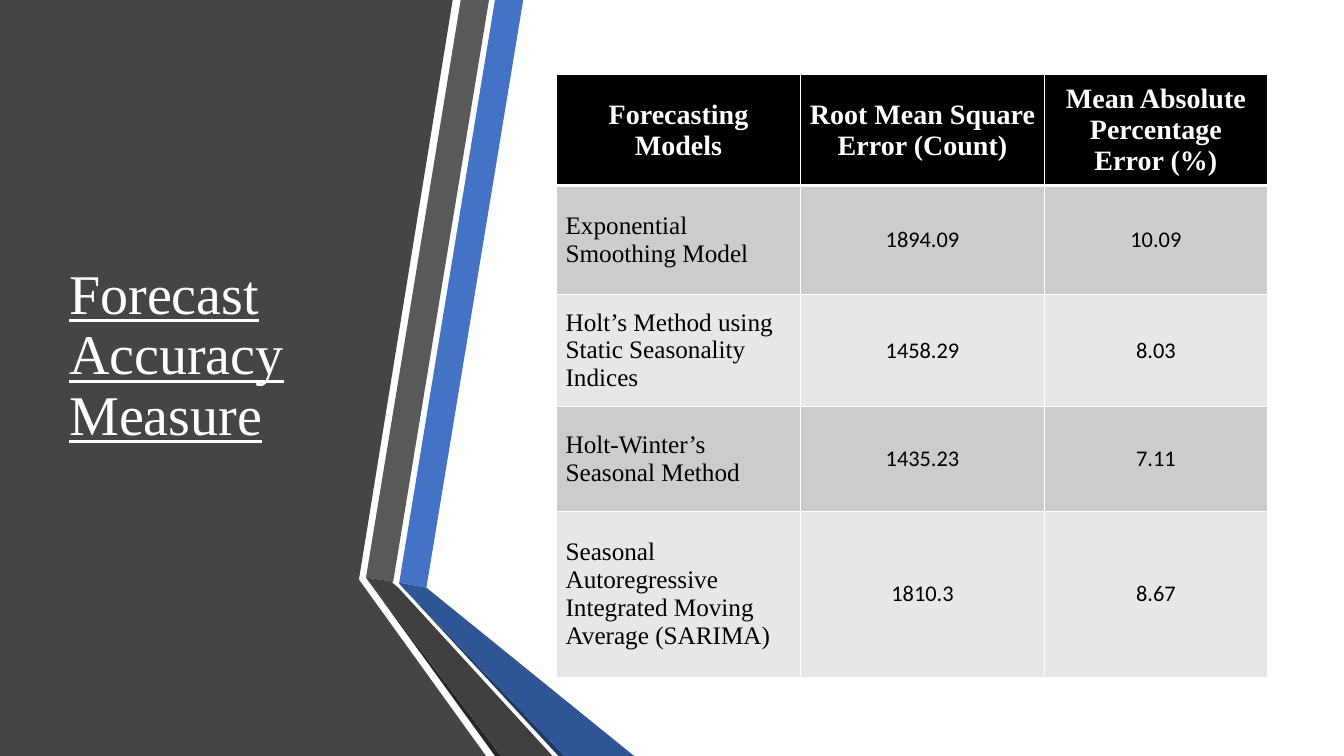
"""Build the forecast accuracy slide: folded ribbon panel, title and results table."""
from lxml import etree
from pptx import Presentation
from pptx.dml.color import RGBColor
from pptx.enum.text import MSO_ANCHOR as ANCHOR, PP_ALIGN as ALIGN
from pptx.oxml.ns import qn
from pptx.util import Inches, Pt

WHITE = RGBColor(0xFF, 0xFF, 0xFF)
BLACK = RGBColor(0x00, 0x00, 0x00)
PANEL = RGBColor(0x45, 0x45, 0x45)
BLUE = RGBColor(0x44, 0x72, 0xC4)
FOLD_BLUE = RGBColor(0x2F, 0x55, 0x97)
EDGE_BLUE = RGBColor(0x20, 0x38, 0x64)
GREY = RGBColor(0x59, 0x59, 0x59)
FOLD_GREY = RGBColor(0x40, 0x40, 0x40)
EDGE_GREY = RGBColor(0x26, 0x26, 0x26)
BAND_DARK = RGBColor(0xCC, 0xCC, 0xCC)
BAND_LIGHT = RGBColor(0xE7, 0xE7, 0xE7)
SERIF = "Times New Roman"
SANS = "Calibri"


def style_run(r, font, size, color, bold=False):
    r.font.name = font
    r.font.size = Pt(size)
    r.font.color.rgb = color
    r.font.bold = bold


def add_border(cell, side, width):
    tcPr = cell._tc.get_or_add_tcPr()
    ln = etree.SubElement(tcPr, qn(f"a:ln{side}"), w=str(Pt(width)))
    fill = etree.SubElement(ln, qn("a:solidFill"))
    etree.SubElement(fill, qn("a:srgbClr"), val=str(WHITE))


prs = Presentation()
prs.slide_width = Inches(13.33)
prs.slide_height = Inches(7.5)
s = prs.slides.add_slide(prs.slide_layouts[6])

outlines = [
    (PANEL, [(0, 0), (3.53, 0), (4.49, 0), (3.56, 5.75), (4.82, 7.5), (0, 7.5)]),
    (BLUE, [(3.96, 5.78), (4.23, 5.83), (5.19, 0), (4.91, 0)]),
    (GREY, [(4.85, 0), (4.57, 0), (3.63, 5.73), (3.9, 5.77)]),
    (EDGE_GREY, [(3.63, 5.73), (4.91, 7.5), (4.97, 7.5)]),
    (EDGE_BLUE, [(3.96, 5.79), (5.54, 7.5), (5.6, 7.5)]),
    (FOLD_BLUE, [(3.96, 5.79), (5.6, 7.5), (6.29, 7.5), (4.23, 5.83), (3.96, 5.78)]),
    (FOLD_GREY, [(5.48, 7.5), (3.95, 5.83), (3.89, 5.78), (3.9, 5.77),
                 (3.63, 5.73), (4.97, 7.5)]),
]
for color, points in outlines:
    start, *rest = [(Inches(x), Inches(y)) for x, y in points]
    builder = s.shapes.build_freeform(*start)
    builder.add_line_segments(rest, close=True)
    sp = builder.convert_to_shape()
    sp.shadow.inherit = False
    sp.fill.solid()
    sp.fill.fore_color.rgb = color
    sp.line.fill.background()

title = s.shapes.add_textbox(Inches(0.59), Inches(0.75), Inches(3.04), Inches(5.58))
tf = title.text_frame
tf.word_wrap = True
tf.vertical_anchor = ANCHOR.MIDDLE
tf.text = "Forecast Accuracy Measure"
p = tf.paragraphs[0]
p.line_spacing = 0.9
style_run(p.runs[0], SERIF, 40, WHITE)
p.runs[0].font.underline = True

rows = [
    ("Forecasting Models", "Root Mean Square Error (Count)", "Mean Absolute Percentage Error (%)"),
    ("Exponential Smoothing Model", "1894.09", "10.09"),
    ("Holt’s Method using Static Seasonality Indices", "1458.29", "8.03"),
    ("Holt-Winter’s Seasonal Method", "1435.23", "7.11"),
    ("Seasonal Autoregressive Integrated Moving Average (SARIMA)", "1810.3", "8.67"),
]
col_widths = [2.42, 2.42, 2.21]
row_heights = [0.8, 1.08, 1.11, 1.04, 1.65]
table = s.shapes.add_table(len(rows), len(col_widths), Inches(5.52), Inches(0.74),
                           Inches(sum(col_widths)), Inches(sum(row_heights))).table
for column, width in zip(table.columns, col_widths):
    column.width = Inches(width)
for row, height in zip(table.rows, row_heights):
    row.height = Inches(height)

for i, texts in enumerate(rows):
    for j, text in enumerate(texts):
        cell = table.cell(i, j)
        for side in "LRTB":
            header_rule = (i == 0 and side == "B") or (i == 1 and side == "T")
            add_border(cell, side, 3 if header_rule else 1)
        cell.fill.solid()
        cell.fill.fore_color.rgb = BLACK if i == 0 else BAND_DARK if i % 2 else BAND_LIGHT
        cell.vertical_anchor = ANCHOR.MIDDLE
        cell.margin_left = cell.margin_right = Inches(0.09)
        cell.margin_top = cell.margin_bottom = Inches(0.05)
        cell.text_frame.text = text
        p = cell.text_frame.paragraphs[0]
        p.alignment = ALIGN.LEFT if i and j == 0 else ALIGN.CENTER
        if i == 0:
            style_run(p.runs[0], SERIF, 20, WHITE, bold=True)
        elif j == 0:
            style_run(p.runs[0], SERIF, 18, BLACK)
        else:
            style_run(p.runs[0], SANS, 16, BLACK)

prs.save("out.pptx")
